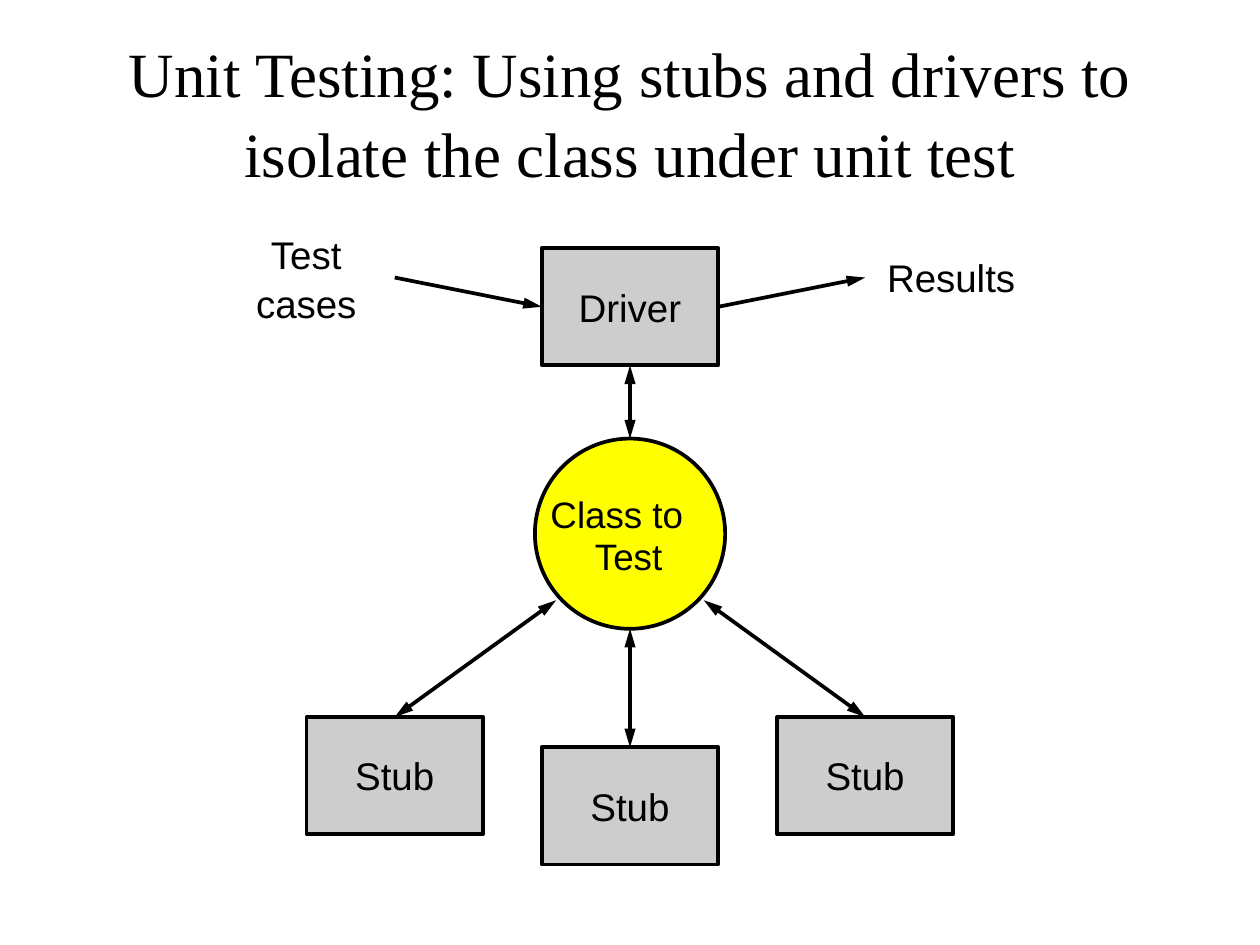
from lxml import etree
from pptx import Presentation
from pptx.dml.color import RGBColor
from pptx.enum.shapes import MSO_CONNECTOR, MSO_SHAPE
from pptx.enum.text import MSO_ANCHOR, PP_ALIGN
from pptx.oxml.ns import qn
from pptx.util import Pt

RECT, OVAL = MSO_SHAPE.RECTANGLE, MSO_SHAPE.OVAL
STRAIGHT = MSO_CONNECTOR.STRAIGHT
CENTER, LEFT = PP_ALIGN.CENTER, PP_ALIGN.LEFT
MIDDLE, TOP = MSO_ANCHOR.MIDDLE, MSO_ANCHOR.TOP

THEME = {
    "ink": RGBColor(0, 0, 0),
    "box": RGBColor(0xCD, 0xCD, 0xCD),
    "class": RGBColor(0xFF, 0xFF, 0),
    "title": ("Times New Roman", 36),
    "label": ("Arial", 22),
    "class label": ("Arial", 21),
    "line": 2.13,
}

# Content; all lengths in points
TITLE = "Unit Testing: Using stubs and drivers to isolate the class under unit test"
MID_X = 360
BOX_W, BOX_H = 100.8, 67
STUB_STEP = 134.4
DRIVER_TOP = 141.8
STUBS = [("Stub", -1, 409.7), ("Stub", 0, 427), ("Stub", 1, 409.7)]  # text, column, top
CLASS_TOP, CLASS_SIZE = 250.6, 108.7
CLASS_LINES = [("Class to", 314.6, 280.8), ("Test", 340, 305)]  # text, left, top
INPUT = (["Test", "cases"], 140, 132, 70, 56)
OUTPUT = (["Results"], 506.9, 145.4, 84, 30)
FLOW_X, FLOW_Y = 134.4, 158.6  # outer ends of the driver's arrows
CLASS_SIDE_X, CLASS_SIDE_Y = 42.2, 343  # where the slanted arrows meet the class


def write(tf, lines, style, align, anchor, gap=0, spacing=None):
    font, size = THEME[style]
    tf.vertical_anchor = anchor
    for i, line in enumerate(lines):
        p = tf.paragraphs[0] if i == 0 else tf.add_paragraph()
        p.alignment = align
        if i and gap:
            p.space_before = Pt(gap)
        if spacing:
            p.line_spacing = spacing
        r = p.add_run()
        r.text = line
        r.font.name, r.font.size = font, Pt(size)
        r.font.color.rgb = THEME["ink"]


def add_label(s, lines, x, y, w, h, style="label", align=LEFT, gap=0):
    tf = s.shapes.add_textbox(Pt(x), Pt(y), Pt(w), Pt(h)).text_frame
    tf.margin_left = tf.margin_right = tf.margin_top = tf.margin_bottom = 0
    tf.word_wrap = True
    write(tf, lines, style, align, TOP, gap)


def add_node(s, kind, x, y, w, h, fill, text=None):
    sp = s.shapes.add_shape(kind, Pt(x), Pt(y), Pt(w), Pt(h))
    sp.shadow.inherit = False
    sp.fill.solid()
    sp.fill.fore_color.rgb = THEME[fill]
    sp.line.color.rgb = THEME["ink"]
    sp.line.width = Pt(THEME["line"])
    if text:
        write(sp.text_frame, [text], "label", CENTER, MIDDLE)


def add_arrow(s, start, end, both=False):
    line = s.shapes.add_connector(STRAIGHT, *(Pt(v) for v in (*start, *end)))
    line.line.color.rgb = THEME["ink"]
    line.line.width = Pt(THEME["line"])
    ln = line.line._get_or_add_ln()
    for tag in ["a:headEnd", "a:tailEnd"] if both else ["a:tailEnd"]:
        etree.SubElement(ln, qn(tag), type="triangle", w="med", len="lg")
    etree.SubElement(line._element.spPr, qn("a:effectLst"))


def main():
    prs = Presentation()
    prs.slide_width, prs.slide_height = Pt(720), Pt(540)
    s = prs.slides.add_slide(prs.slide_layouts[6])

    # Title
    tf = s.shapes.add_textbox(Pt(54), Pt(18), Pt(612), Pt(90)).text_frame
    tf.word_wrap = True
    write(tf, [TITLE], "title", CENTER, MIDDLE, spacing=1.05)

    # Driver and class under test
    box_left = MID_X - BOX_W / 2
    add_node(s, RECT, box_left, DRIVER_TOP, BOX_W, BOX_H, "box", "Driver")
    add_node(s, OVAL, MID_X - CLASS_SIZE / 2, CLASS_TOP, CLASS_SIZE, CLASS_SIZE, "class")
    for text, x, y in CLASS_LINES:
        add_label(s, [text], x, y, 80, 26, "class label")
    add_arrow(s, (MID_X, DRIVER_TOP + BOX_H), (MID_X, CLASS_TOP), both=True)

    # Stubs, each joined to the class
    for text, column, top in STUBS:
        shift = column * STUB_STEP
        add_node(s, RECT, box_left + shift, top, BOX_W, BOX_H, "box", text)
        joint_y = CLASS_SIDE_Y if column else CLASS_TOP + CLASS_SIZE
        add_arrow(s, (MID_X + column * CLASS_SIDE_X, joint_y), (MID_X + shift, top), both=True)

    # Test cases in, results out
    add_label(s, *INPUT, align=CENTER, gap=1.5)
    add_label(s, *OUTPUT)
    driver_y = DRIVER_TOP + BOX_H / 2
    add_arrow(s, (MID_X - FLOW_X, FLOW_Y), (box_left, driver_y))
    add_arrow(s, (box_left + BOX_W, driver_y), (MID_X + FLOW_X, FLOW_Y))

    prs.save("out.pptx")


if __name__ == "__main__":
    main()
